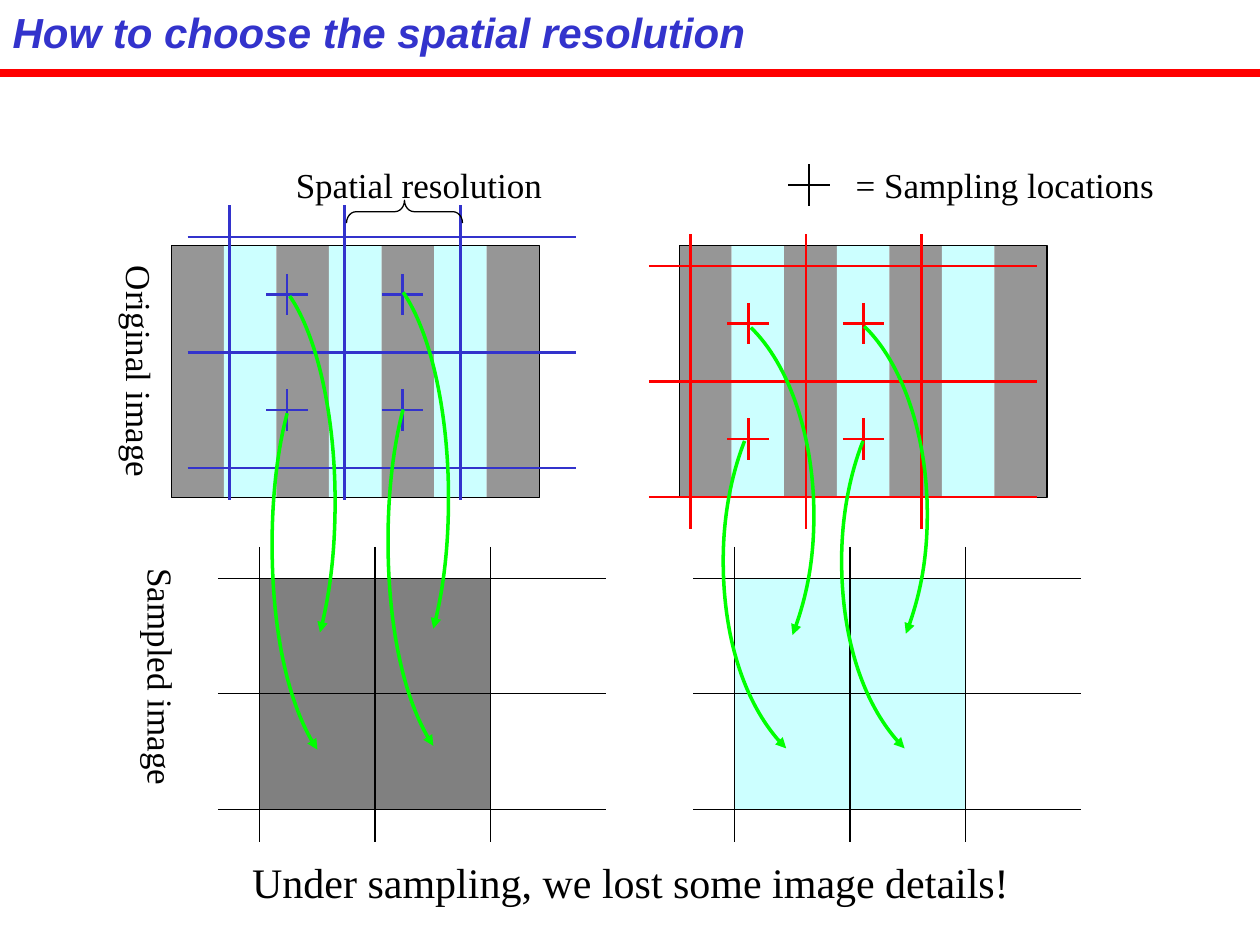
from pptx import Presentation
from pptx.dml.color import RGBColor
from pptx.enum.shapes import MSO_CONNECTOR, MSO_SHAPE
from pptx.enum.text import MSO_ANCHOR, MSO_AUTO_SIZE, PP_ALIGN
from pptx.oxml.ns import qn
from pptx.oxml.xmlchemy import OxmlElement
from pptx.util import Inches, Pt

STRAIGHT = MSO_CONNECTOR.STRAIGHT
RECTANGLE, LEFT_BRACE = MSO_SHAPE.RECTANGLE, MSO_SHAPE.LEFT_BRACE
TOP, NO_AUTOFIT = MSO_ANCHOR.TOP, MSO_AUTO_SIZE.NONE
LEFT, CENTER = PP_ALIGN.LEFT, PP_ALIGN.CENTER

BLUE, RED, GREEN, BLACK = "3333CC", "FF0000", "00FF00", "000000"
STRIPE_GRAY, PIXEL_GRAY, CYAN = "969696", "808080", "CCFFFF"
SERIF, SANS = "Times New Roman", "Arial"

GRID_WIDTH, GRID_HEIGHT = 3.08, 2.34
MARGIN_X, MARGIN_Y = 0.33, 0.25
PITCH = (GRID_WIDTH - MARGIN_X) / 3
CROSS_ARM = 0.165

NARROW_CURVE = [(0, 0), (-0.08, 0.3), (-0.12, 0.67), (-0.12, 1.04),
                (-0.12, 1.72), (0.02, 2.35), (0.24, 2.67)]
WIDE_CURVE = [(0, 0), (-0.11, 0.28), (-0.17, 0.61), (-0.17, 0.95),
              (-0.17, 1.58), (0.03, 2.15), (0.33, 2.44)]


def color(value):
    return RGBColor.from_string(value)


def add_line(slide, start, end, line_color, width):
    connector = slide.shapes.add_connector(STRAIGHT, *map(Inches, start + end))
    connector.line.color.rgb = color(line_color)
    connector.line.width = Pt(width)
    connector.element.spPr.append(OxmlElement("a:effectLst"))


def add_box(slide, box, fill=None, outline=None, preset=RECTANGLE):
    shape = slide.shapes.add_shape(preset, *map(Inches, box))
    shape.shadow.inherit = False
    if fill:
        shape.fill.solid()
        shape.fill.fore_color.rgb = color(fill)
    else:
        shape.fill.background()
    if outline:
        shape.line.color.rgb = color(outline)
        shape.line.width = Pt(0.75)
    else:
        shape.line.fill.background()
    return shape


def add_label(slide, box, text, size=20, vertical=False):
    shape = slide.shapes.add_textbox(*map(Inches, box))
    frame = shape.text_frame
    frame.word_wrap = False
    if vertical:
        shape.element.txBody.bodyPr.set("vert", "eaVert")
        frame.margin_left = frame.margin_right = Inches(0.05)
        frame.margin_top = frame.margin_bottom = Inches(0.1)
    paragraph = frame.paragraphs[0]
    paragraph.text = text
    paragraph.alignment = CENTER
    paragraph.font.name = SERIF
    paragraph.font.size = Pt(size)
    paragraph.font.color.rgb = color(BLACK)


def add_cross(slide, x, y, line_color):
    add_line(slide, (x, y - CROSS_ARM), (x, y + CROSS_ARM), line_color, 1.5)
    add_line(slide, (x - CROSS_ARM, y), (x + CROSS_ARM, y), line_color, 1.5)


def add_grid(slide, left, top, line_color, width):
    for index in range(3):
        x = left + MARGIN_X + index * PITCH
        y = top + MARGIN_Y + index * PITCH
        add_line(slide, (x, top), (x, top + GRID_HEIGHT), line_color, width)
        add_line(slide, (left, y), (left + GRID_WIDTH, y), line_color, width)


def cells(left, top):
    return [(left + MARGIN_X + column * PITCH, top + MARGIN_Y + row * PITCH)
            for row in range(2) for column in range(2)]


def add_striped_image(slide, left, top, width, height):
    stripe = width / 7
    for index in range(7):
        fill = CYAN if index % 2 else STRIPE_GRAY
        add_box(slide, (left + index * stripe, top, stripe, height), fill)
    add_box(slide, (left, top, width, height), outline=BLACK)


def add_sampling_grid(slide, left, top, line_color):
    add_grid(slide, left, top, line_color, 1.5)
    for x, y in cells(left, top):
        add_cross(slide, x + PITCH / 2, y + PITCH / 2, line_color)


def add_sampled_image(slide, left, top, fill):
    for x, y in cells(left, top):
        add_box(slide, (x, y, PITCH, PITCH), fill)
    add_grid(slide, left, top, BLACK, 0.75)


def half_turn(curve):
    end_x, end_y = curve[-1]
    return [(end_x - x, end_y - y) for x, y in reversed(curve)]


def bend_segments(shape):
    segments = list(shape.element.spPr.iter(qn("a:lnTo")))
    outline = segments[0].getparent()
    for first in range(0, len(segments), 3):
        bezier = OxmlElement("a:cubicBezTo")
        for segment in segments[first:first + 3]:
            bezier.append(segment[0])
            outline.remove(segment)
        outline.append(bezier)


def add_curved_arrow(slide, left, top, curve):
    builder = slide.shapes.build_freeform(Inches(left), Inches(top))
    builder.add_line_segments(
        [(Inches(left + x), Inches(top + y)) for x, y in curve[1:]], close=False)
    shape = builder.convert_to_shape()
    bend_segments(shape)
    shape.shadow.inherit = False
    shape.fill.background()
    shape.line.color.rgb = color(GREEN)
    shape.line.width = Pt(2)
    arrowhead = OxmlElement("a:tailEnd")
    arrowhead.set("type", "triangle")
    shape.element.spPr.find(qn("a:ln")).append(arrowhead)


def add_arrows(slide, curve, lower_starts, upper_starts):
    for x, y in lower_starts:
        add_curved_arrow(slide, x, y, curve)
    for x, y in upper_starts:
        add_curved_arrow(slide, x, y, half_turn(curve))


def add_title(slide, box):
    title = slide.shapes.title
    title.left, title.top, title.width, title.height = map(Inches, box)
    frame = title.text_frame
    frame.word_wrap = False
    frame.auto_size = NO_AUTOFIT
    frame.vertical_anchor = TOP
    paragraph = frame.paragraphs[0]
    paragraph.text = "How to choose the spatial resolution"
    paragraph.alignment = LEFT
    font = paragraph.font
    font.name, font.size = SANS, Pt(24)
    font.bold = font.italic = True
    font.color.rgb = color(BLUE)
    add_line(slide, (0, 0.58), (10, 0.58), RED, 4.5)


def add_resolution_brace(slide, box):
    brace = add_box(slide, box, outline=BLACK, preset=LEFT_BRACE)
    brace.rotation = 90
    brace.adjustments[0] = 0.42


def main():
    presentation = Presentation()
    presentation.slide_width, presentation.slide_height = Inches(10), Inches(7.5)
    slide = presentation.slides.add_slide(presentation.slide_layouts[5])
    add_title(slide, (0, 0, 6.2, 0.5))

    add_striped_image(slide, 5.39, 1.95, 2.92, 2)
    add_striped_image(slide, 1.36, 1.95, 2.92, 2)
    add_sampling_grid(slide, 1.49, 1.63, BLUE)
    add_sampling_grid(slide, 5.15, 1.86, RED)
    add_sampled_image(slide, 1.73, 4.34, PIXEL_GRAY)
    add_sampled_image(slide, 5.5, 4.34, CYAN)

    add_cross(slide, 6.42, 1.47, BLACK)
    add_label(slide, (6.69, 1.25, 2.57, 0.44), "= Sampling locations")
    add_label(slide, (0.8, 2.01, 0.53, 1.78), "Original image", vertical=True)
    add_label(slide, (0.97, 4.41, 0.53, 1.83), "Sampled image", vertical=True)

    add_arrows(slide, NARROW_CURVE, [(2.28, 3.28), (3.2, 3.25)], [(2.3, 2.35), (3.2, 2.32)])
    add_label(slide, (1.9, 6.75, 6.21, 0.5), "Under sampling, we lost some image details!", 24)
    add_arrows(slide, WIDE_CURVE, [(5.91, 3.5), (6.85, 3.5)], [(5.96, 2.6), (6.86, 2.59)])

    add_resolution_brace(slide, (3.12, 1.22, 0.18, 0.92))
    add_label(slide, (2.22, 1.25, 2.21, 0.44), "Spatial resolution")
    presentation.save("out.pptx")


if __name__ == "__main__":
    main()
